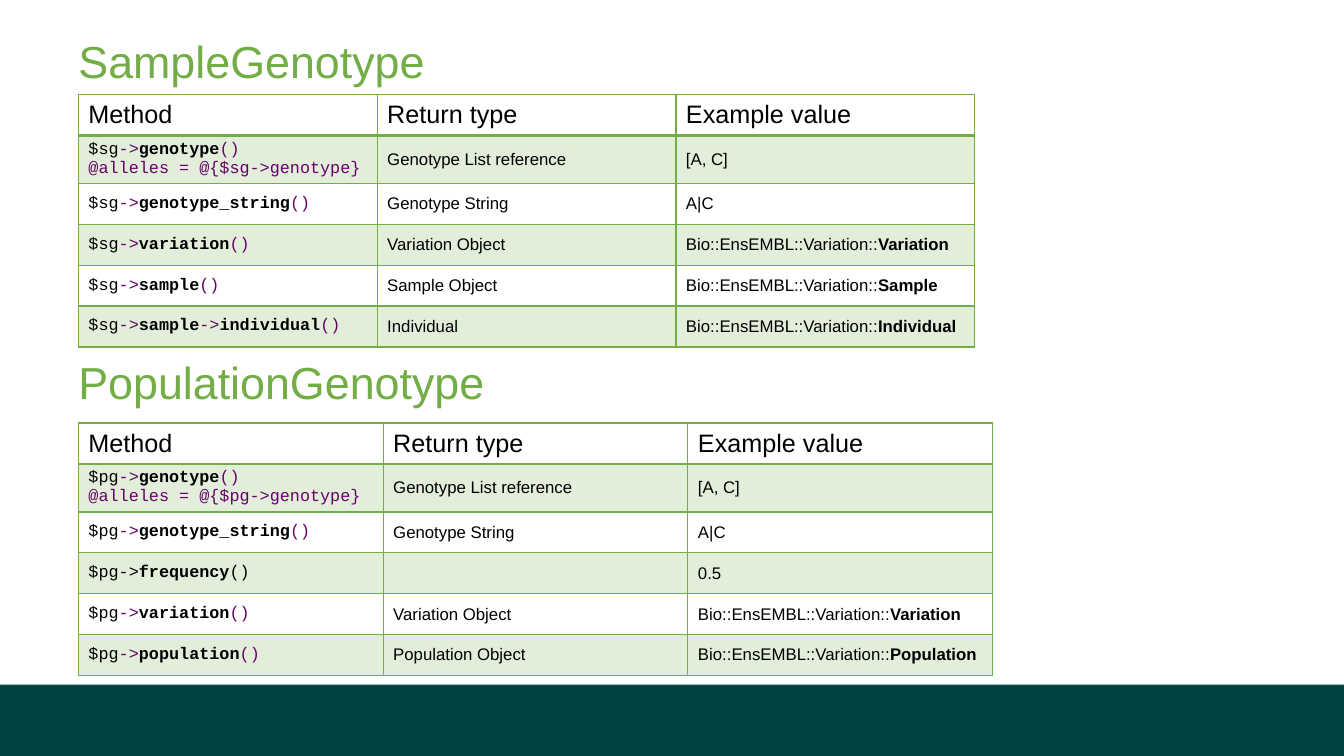
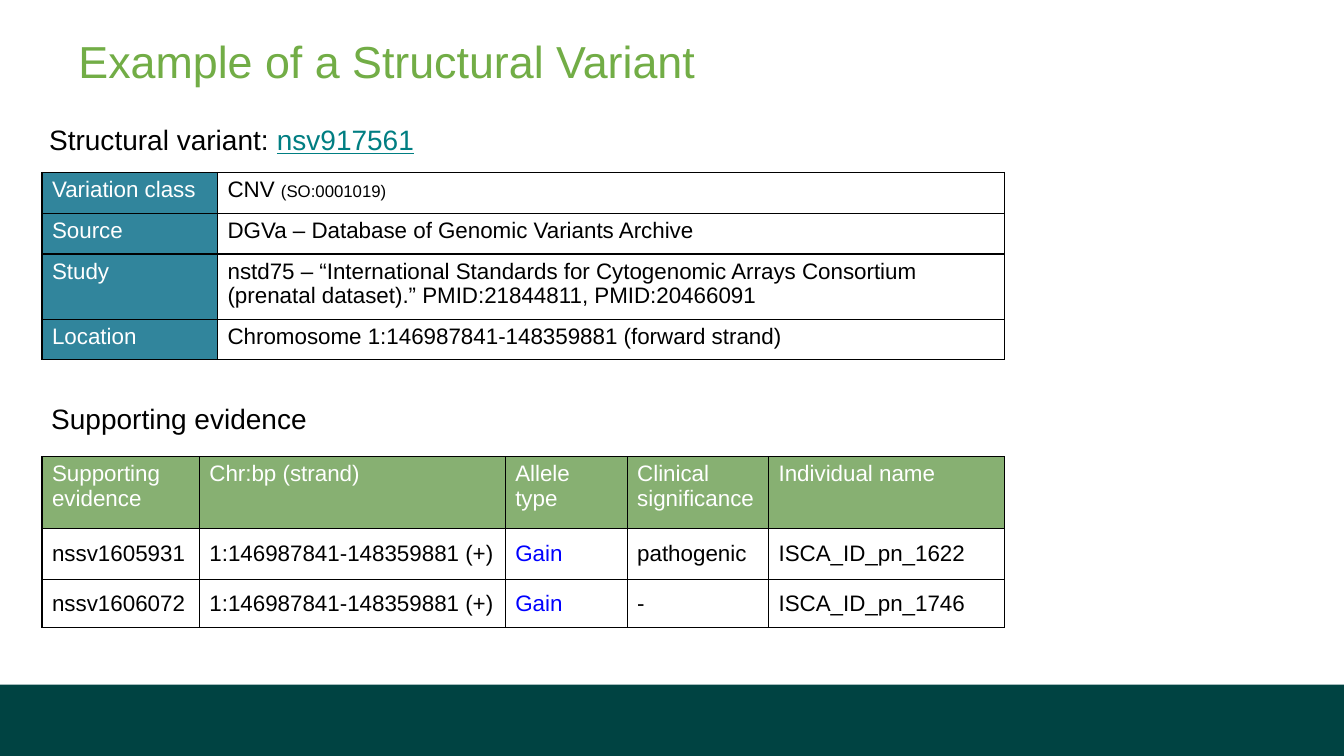
from dataclasses import dataclass, field
from typing import NamedTuple

from lxml.etree import SubElement
from pptx import Presentation
from pptx.dml.color import RGBColor
from pptx.enum.shapes import MSO_SHAPE
from pptx.enum.text import MSO_ANCHOR, MSO_AUTO_SIZE, PP_ALIGN
from pptx.oxml.ns import qn
from pptx.util import Pt

SLIDE_WIDTH, SLIDE_HEIGHT = 960, 540
BAND_TOP = 489
COLORS = {
    "accent": "72AD46",
    "band": "004342",
    "text": "000000",
    "white": "FFFFFF",
    "operator": "660066",
    "reference": "007E82",
    "gain": "0000FF",
    "attribute": "31859C",
    "evidence": "87B072",
}
BODY_FONT, CODE_FONT = "Arial", "Courier New"
HEADING = {"size": 32, "color": "accent"}
TITLE_TOP = 24


class Run(NamedTuple):
    text: str
    format: dict = {}


Paragraphs = list[list[Run]]


@dataclass
class Cell:
    paragraphs: Paragraphs
    format: dict = field(default_factory=dict)
    fill: str | None = None
    opacity: int = 100
    anchor: MSO_ANCHOR = MSO_ANCHOR.MIDDLE
    bottom_line: float = 1


@dataclass
class Grid:
    left: float
    top: float
    widths: list[float]
    heights: list[float]
    rows: list[list[Cell]]
    line_color: str


def rgb(name: str) -> RGBColor:
    return RGBColor.from_string(COLORS[name])


def plain(text: str) -> Paragraphs:
    return [[Run(text)]]


def write(frame, paragraphs: Paragraphs, **format) -> None:
    """Fill a text frame; a run's own format overrides the keywords."""
    for index, runs in enumerate(paragraphs):
        paragraph = frame.paragraphs[0] if index == 0 else frame.add_paragraph()
        paragraph.alignment = PP_ALIGN.LEFT
        for part in runs:
            style = {"size": 12, "color": "text", "font": BODY_FONT, **format, **part.format}
            run = paragraph.add_run()
            run.text = part.text
            run.font.size = Pt(style["size"])
            run.font.name = style["font"]
            run.font.color.rgb = rgb(style["color"])
            run.font.bold = style.get("bold", False)
            run.font.underline = style.get("underline", False)


def place(shape, left: float, top: float, width: float, height: float) -> None:
    shape.left, shape.top = Pt(left), Pt(top)
    shape.width, shape.height = Pt(width), Pt(height)


def add_text(slide, left: float, top: float, width: float, height: float,
             paragraphs: Paragraphs, **format) -> None:
    box = slide.shapes.add_textbox(Pt(left), Pt(top), Pt(width), Pt(height))
    box.text_frame.word_wrap = True
    write(box.text_frame, paragraphs, **format)


def format_heading(shape, top: float, text: str) -> None:
    place(shape, 56, top, 856, 60)
    frame = shape.text_frame
    frame.word_wrap = True
    frame.auto_size = MSO_AUTO_SIZE.NONE
    frame.vertical_anchor = MSO_ANCHOR.TOP
    frame.margin_left = frame.margin_right = frame.margin_top = frame.margin_bottom = 0
    write(frame, plain(text), **HEADING)


def new_slide(deck, title: str):
    """Add a slide with the shared bottom band and title."""
    slide = deck.slides.add_slide(deck.slide_layouts[5])
    band = slide.shapes.add_shape(MSO_SHAPE.RECTANGLE, 0, Pt(BAND_TOP), Pt(SLIDE_WIDTH),
                                  Pt(SLIDE_HEIGHT - BAND_TOP))
    band.shadow.inherit = False
    band.fill.solid()
    band.fill.fore_color.rgb = rgb("band")
    band.line.fill.background()
    format_heading(slide.shapes.title, TITLE_TOP, title)
    return slide


def style_cell(target, cell: Cell, line_color: str) -> None:
    properties = target._tc.get_or_add_tcPr()
    for side in ("lnL", "lnR", "lnT", "lnB"):
        width = cell.bottom_line if side == "lnB" else 1
        line = SubElement(properties, qn(f"a:{side}"), w=str(Pt(width)))
        solid = SubElement(line, qn("a:solidFill"))
        SubElement(solid, qn("a:srgbClr"), val=COLORS[line_color])
    if cell.fill:
        target.fill.solid()
        target.fill.fore_color.rgb = rgb(cell.fill)
        if cell.opacity < 100:
            color = properties.find(f"{qn('a:solidFill')}/{qn('a:srgbClr')}")
            SubElement(color, qn("a:alpha"), val=str(cell.opacity * 1000))
    else:
        target.fill.background()
    target.vertical_anchor = cell.anchor
    write(target.text_frame, cell.paragraphs, **cell.format)


def add_grid(slide, grid: Grid) -> None:
    table = slide.shapes.add_table(
        len(grid.rows), len(grid.widths), Pt(grid.left), Pt(grid.top),
        Pt(sum(grid.widths)), Pt(sum(grid.heights))).table
    table.first_row = table.horz_banding = False
    for column, width in zip(table.columns, grid.widths):
        column.width = Pt(width)
    for row, height in zip(table.rows, grid.heights):
        row.height = Pt(height)
    for r, cells in enumerate(grid.rows):
        for c, cell in enumerate(cells):
            style_cell(table.cell(r, c), cell, grid.line_color)


def call(variable: str, *methods: str, operator: str = "operator") -> list[Run]:
    """Runs of a Perl method chain, with bold method names."""
    runs = [Run(variable)]
    for method in methods:
        runs += [Run("->", {"color": operator}), Run(method, {"bold": True})]
    return runs + [Run("()", {"color": operator})]


def genotype_call(variable: str) -> Paragraphs:
    dereference = Run(f"@alleles = @{{{variable}->genotype}}", {"color": "operator"})
    return [call(variable, "genotype"), [dereference]]


def variation_class(name: str) -> Paragraphs:
    return [[Run("Bio::EnsEMBL::Variation::"), Run(name, {"bold": True})]]


def method_grid(top: float, column_width: float,
                methods: list[tuple[Paragraphs, str, Paragraphs]]) -> Grid:
    """Header plus method rows, every other one tinted."""
    rows = [[Cell(plain(label), {"size": 18}, bottom_line=2)
             for label in ("Method", "Return type", "Example value")]]
    for index, (code, return_type, example) in enumerate(methods):
        tint = {"fill": "accent", "opacity": 20} if index % 2 == 0 else {}
        rows.append([
            Cell(code, {"font": CODE_FONT}, **tint),
            Cell(plain(return_type) if return_type else [], **tint),
            Cell(example, **tint),
        ])
    return Grid(56, top, [column_width] * 3, [29.2] * len(rows), rows, "accent")


def shared_methods(variable: str) -> list[tuple[Paragraphs, str, Paragraphs]]:
    return [
        (genotype_call(variable), "Genotype List reference", plain("[A, C]")),
        ([call(variable, "genotype_string")], "Genotype String", plain("A|C")),
    ]


def variation_row(variable: str) -> tuple[Paragraphs, str, Paragraphs]:
    return [call(variable, "variation")], "Variation Object", variation_class("Variation")


def build_genotypes(deck) -> None:
    slide = new_slide(deck, "SampleGenotype")
    add_grid(slide, method_grid(67.5, 213.4, shared_methods("$sg") + [
        variation_row("$sg"),
        ([call("$sg", "sample")], "Sample Object", variation_class("Sample")),
        ([call("$sg", "sample", "individual")], "Individual", variation_class("Individual")),
    ]))
    format_heading(slide.shapes.add_textbox(0, 0, 0, 0), 253.5, "PopulationGenotype")
    add_grid(slide, method_grid(302.2, 217.7, shared_methods("$pg") + [
        ([call("$pg", "frequency", operator="text")], "", plain("0.5")),
        variation_row("$pg"),
        ([call("$pg", "population")], "Population Object", variation_class("Population")),
    ]))


def build_structural_variant(deck) -> None:
    slide = new_slide(deck, "Example of a Structural Variant")
    body = {"size": 16}
    header = {"size": 16, "color": "white"}
    attributes = [
        ("Variation class", [[Run("CNV "), Run("(SO:0001019)", {"size": 12})]]),
        ("Source", plain("DGVa – Database of Genomic Variants Archive")),
        ("Study", plain("nstd75 – “International Standards for Cytogenomic Arrays Consortium "
                        "(prenatal dataset).” PMID:21844811, PMID:20466091")),
        ("Location", plain("Chromosome 1:146987841-148359881 (forward strand)")),
    ]
    evidence_labels = ["Supporting evidence", "Chr:bp (strand)", "Allele type",
                       "Clinical significance", "Individual name"]
    evidence = [
        ("nssv1605931", "pathogenic", "ISCA_ID_pn_1622"),
        ("nssv1606072", "-", "ISCA_ID_pn_1746"),
    ]

    add_text(slide, 28, 84, 370, 34, [[
        Run("Structural variant: "),
        Run("nsv917561", {"color": "reference", "underline": True}),
    ]], size=20)
    attribute_rows = [
        [Cell(plain(label), header, "attribute", anchor=MSO_ANCHOR.TOP),
         Cell(value, body, anchor=MSO_ANCHOR.TOP)]
        for label, value in attributes
    ]
    add_grid(slide, Grid(30, 123.2, [125.4, 562.2], [29.1, 29.1, 46.6, 29.1],
                         attribute_rows, "text"))

    add_text(slide, 29.5, 283, 246, 31, plain("Supporting evidence"), size=20)
    evidence_rows = [[Cell(plain(label), header, "evidence", anchor=MSO_ANCHOR.TOP)
                      for label in evidence_labels]]
    for accession, significance, individual in evidence:
        evidence_rows.append([
            Cell(plain(accession), body),
            Cell(plain("1:146987841-148359881 (+)"), body),
            Cell(plain("Gain"), {**body, "color": "gain"}),
            Cell(plain(significance), body),
            Cell(plain(individual), body),
        ])
    add_grid(slide, Grid(30, 326.2, [112.4, 218.5, 87.1, 101, 168.6], [51.4, 36.4, 34.2],
                         evidence_rows, "text"))


def main() -> None:
    deck = Presentation()
    deck.slide_width, deck.slide_height = Pt(SLIDE_WIDTH), Pt(SLIDE_HEIGHT)
    build_genotypes(deck)
    build_structural_variant(deck)
    deck.save("out.pptx")


if __name__ == "__main__":
    main()
